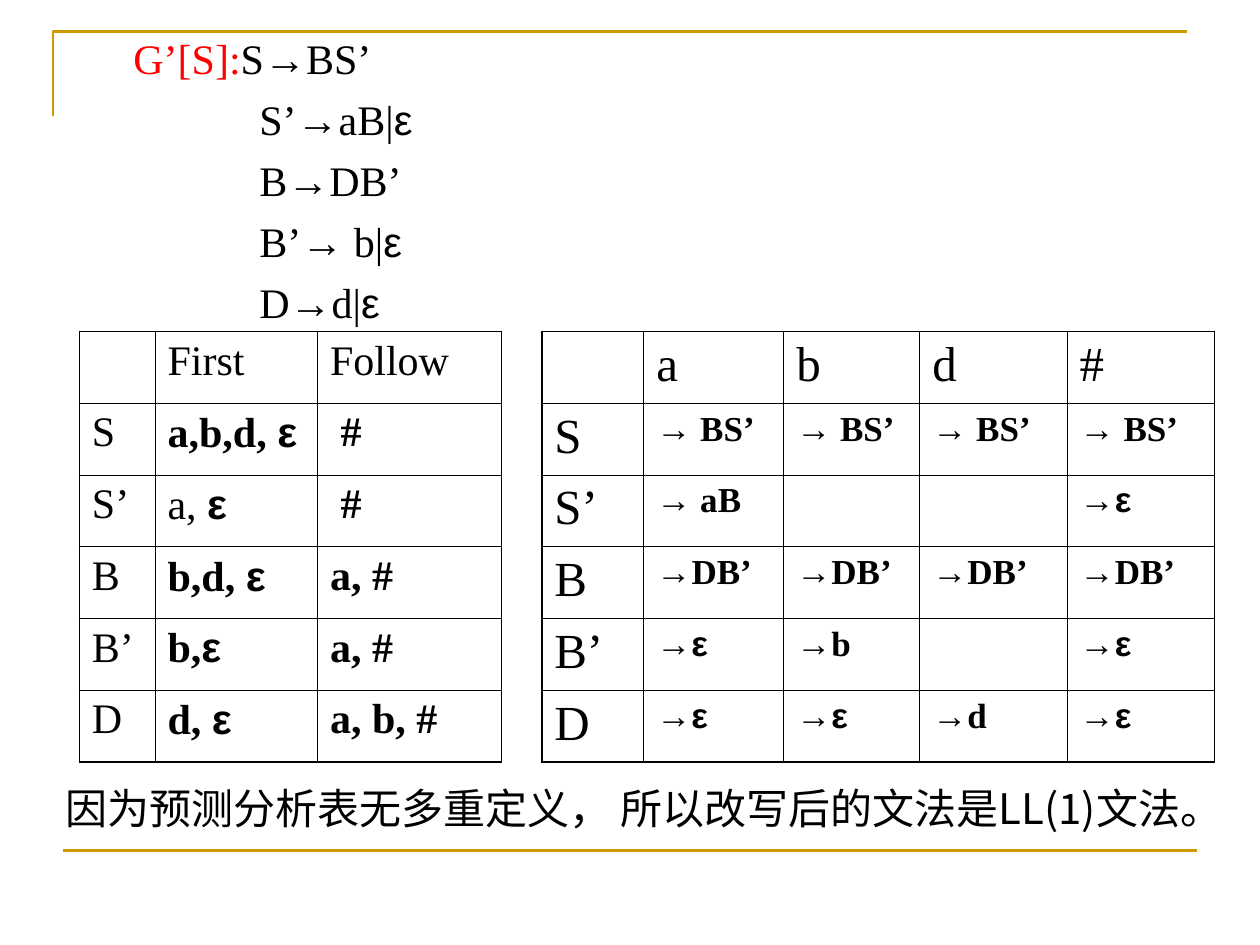
from dataclasses import dataclass
from itertools import groupby

from lxml.etree import SubElement
from pptx import Presentation
from pptx.dml.color import RGBColor
from pptx.enum.shapes import MSO_CONNECTOR as Connector
from pptx.enum.text import PP_ALIGN as Align
from pptx.oxml import parse_xml
from pptx.oxml.ns import nsdecls, qn
from pptx.slide import Slide
from pptx.table import _Cell as Cell
from pptx.text.text import _Paragraph as Paragraph
from pptx.util import Inches, Pt


@dataclass(frozen=True)
class Theme:
    text: str = "000000"
    label: str = "FF0000"
    rule: str = "CC9900"
    body_size: int = 24
    heading_size: int = 28
    entry_size: int = 20
    outer_border: float = 1.08
    inner_border: float = 0.45
    rule_width: float = 1.5
    serif: str = "Times New Roman"
    symbol: str = "Arial"
    chinese: str = "Noto Sans CJK SC"


THEME = Theme()
SYMBOLS = "→ε"


@dataclass(frozen=True)
class Span:
    text: str
    bold: bool = False
    color: str = THEME.text


@dataclass(frozen=True)
class Grid:
    left: float
    columns: tuple[float, ...]
    heading_size: int
    entry_size: int
    rows: tuple[tuple, ...]


GRID_TOP = 2.63
ROW_HEIGHT = 0.57

PRODUCTIONS = (
    (Span("\tG’[S]:", color=THEME.label), Span("S→BS’")),
    (Span("\t\tS’→aB|ε"),),
    (Span("\t\tB→DB’"),),
    (Span("\t\tB’→ b|ε"),),
    (Span("\t\tD→d|ε"),),
)

FIRST_FOLLOW = Grid(0.63, (0.6, 1.29, 1.46), THEME.body_size, THEME.body_size, (
    ("", "First", "Follow"),
    ("S", "a,b,d, ε", " #"),
    ("S’", (Span("a, "), Span("ε", True)), " #"),
    ("B", "b,d, ε", "a, #"),
    ("B’", "b,ε", "a, #"),
    ("D", "d, ε", "a, b, #"),
))

PREDICTIONS = Grid(4.3, (0.81, 1.11, 1.08, 1.17, 1.17), THEME.heading_size, THEME.entry_size, (
    ("", "a", "b", "d", "#"),
    ("S", "→ BS’", "→ BS’", "→ BS’", "→ BS’"),
    ("S’", "→ aB", "", "", "→ε"),
    ("B", "→DB’", "→DB’", "→DB’", "→DB’"),
    ("B’", "→ε", "→b", "", "→ε"),
    ("D", "→ε", "→ε", "→d", "→ε"),
))

CONCLUSION = "因为预测分析表无多重定义， 所以改写后的文法是LL(1)文法。"


def write_spans(paragraph: Paragraph, spans: tuple[Span, ...], size: int) -> None:
    for span in spans:
        for is_symbol, letters in groupby(span.text, lambda letter: letter in SYMBOLS):
            run = paragraph.add_run()
            run.text = "".join(letters)
            run.font.name = THEME.symbol if is_symbol else THEME.serif
            run.font.size = Pt(size)
            run.font.bold = span.bold
            run.font.color.rgb = RGBColor.from_string(span.color)


def set_borders(cell: Cell, widths: dict[str, float]) -> None:
    cell.fill.background()
    properties = cell._tc.get_or_add_tcPr()
    for position, (side, width) in enumerate(widths.items()):
        properties.insert(position, parse_xml(
            f'<a:ln{side} {nsdecls("a")} w="{Pt(width)}"><a:solidFill>'
            f'<a:srgbClr val="{THEME.text}"/></a:solidFill></a:ln{side}>'))


def add_grid(slide: Slide, grid: Grid) -> None:
    last_row, last_column = len(grid.rows) - 1, len(grid.columns) - 1
    frame = slide.shapes.add_table(
        len(grid.rows), len(grid.columns), Inches(grid.left), Inches(GRID_TOP),
        Inches(sum(grid.columns)), Inches(ROW_HEIGHT * len(grid.rows)))
    table = frame.table
    table.first_row = table.horz_banding = False
    for column, width in zip(table.columns, grid.columns):
        column.width = Inches(width)
    for row_index, values in enumerate(grid.rows):
        table.rows[row_index].height = Inches(ROW_HEIGHT)
        for column_index, value in enumerate(values):
            cell = table.cell(row_index, column_index)
            is_heading = row_index == 0 or column_index == 0
            spans = (Span(value, not is_heading),) if isinstance(value, str) else value
            size = grid.heading_size if is_heading else grid.entry_size
            write_spans(cell.text_frame.paragraphs[0], spans, size)
            on_edge = {"L": column_index == 0, "R": column_index == last_column,
                       "T": row_index == 0, "B": row_index == last_row}
            set_borders(cell, {side: THEME.outer_border if outer else THEME.inner_border
                               for side, outer in on_edge.items()})


def add_frame_lines(slide: Slide) -> None:
    builder = slide.shapes.build_freeform(Inches(0.42), Inches(0.92))
    builder.add_line_segments(
        [(Inches(0.42), Inches(0.25)), (Inches(9.42), Inches(0.25))], close=False)
    corner = builder.convert_to_shape()
    corner.fill.background()
    corner.shadow.inherit = False
    footer_line = slide.shapes.add_connector(
        Connector.STRAIGHT, Inches(0.5), Inches(6.75), Inches(9.5), Inches(6.75))
    SubElement(footer_line._element.spPr, qn("a:effectLst"))
    for shape in (corner, footer_line):
        shape.line.color.rgb = RGBColor.from_string(THEME.rule)
        shape.line.width = Pt(THEME.rule_width)


def add_productions(slide: Slide) -> None:
    box = slide.shapes.add_textbox(Inches(-0.04), Inches(0.21), Inches(5.59), Inches(2.44))
    text_frame = box.text_frame
    text_frame.word_wrap = True
    for index, spans in enumerate(PRODUCTIONS):
        paragraph = text_frame.add_paragraph() if index else text_frame.paragraphs[0]
        tabs = SubElement(paragraph._p.get_or_add_pPr(), qn("a:tabLst"))
        for stop in (1, 2):
            SubElement(tabs, qn("a:tab"), pos=str(Inches(stop)), algn="l")
        paragraph.alignment = Align.JUSTIFY
        if index:
            paragraph.space_before = Pt(6)
        write_spans(paragraph, spans, THEME.body_size)


def add_conclusion(slide: Slide) -> None:
    box = slide.shapes.add_textbox(Inches(0.42), Inches(6.16), Inches(9.58), Inches(0.5))
    box.text_frame.word_wrap = True
    box.text_frame.text = CONCLUSION
    font = box.text_frame.paragraphs[0].runs[0].font
    font.size = Pt(THEME.body_size)
    font.color.rgb = RGBColor.from_string(THEME.text)
    font.name = THEME.chinese
    SubElement(font._element, qn("a:ea"), typeface=THEME.chinese)


def main() -> None:
    presentation = Presentation()
    presentation.slide_width = Inches(10)
    presentation.slide_height = Inches(7.5)
    slide = presentation.slides.add_slide(presentation.slide_layouts[6])
    add_frame_lines(slide)
    add_productions(slide)
    for grid in (FIRST_FOLLOW, PREDICTIONS):
        add_grid(slide, grid)
    add_conclusion(slide)
    presentation.save("out.pptx")


if __name__ == "__main__":
    main()
